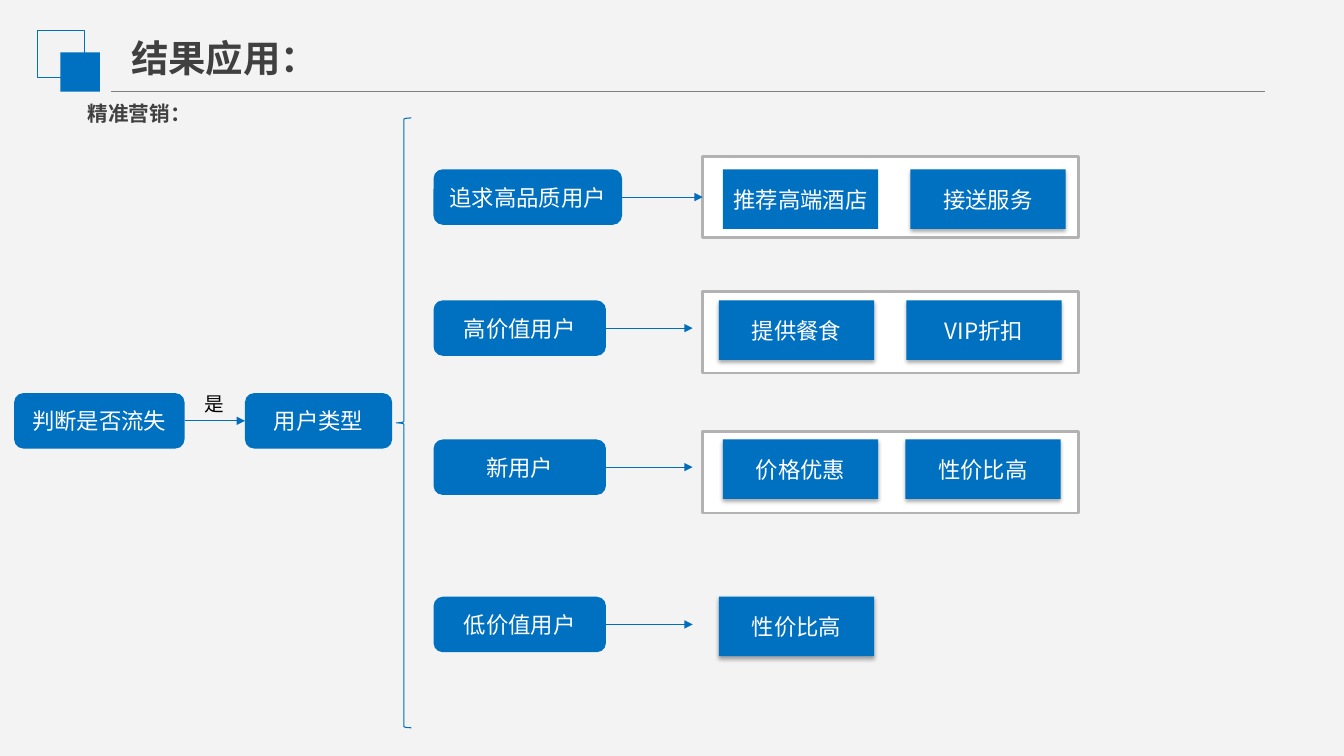
from lxml import etree
from pptx import Presentation
from pptx.dml.color import RGBColor
from pptx.enum.shapes import MSO_CONNECTOR, MSO_SHAPE
from pptx.enum.text import MSO_ANCHOR, MSO_AUTO_SIZE, PP_ALIGN
from pptx.oxml.ns import qn
from pptx.util import Pt

RECTANGLE = MSO_SHAPE.RECTANGLE
ROUNDED = MSO_SHAPE.ROUNDED_RECTANGLE
LEFT_BRACE = MSO_SHAPE.LEFT_BRACE
STRAIGHT = MSO_CONNECTOR.STRAIGHT
TOP, MIDDLE = MSO_ANCHOR.TOP, MSO_ANCHOR.MIDDLE
LEFT, CENTER = PP_ALIGN.LEFT, PP_ALIGN.CENTER
LEFT_SIDE, RIGHT_SIDE = 1, 3

EMU_PER_PX = 9144  # 100 px to the inch
FONT = "Noto Sans CJK SC"
TITLE_ONLY_LAYOUT = 5
COLORS = {
    "background": "F3F3F3",
    "blue": "0070C0",
    "arrow": "006EBC",
    "rule": "808080",
    "frame": "B2B2B2",
    "heading": "404040",
    "white": "FFFFFF",
    "black": "000000",
}

NODE_HEIGHT = 55
CARD_WIDTH, CARD_HEIGHT = 154, 59
FRAME_LEFT, FRAME_WIDTH, FRAME_HEIGHT = 697, 373, 81
ROW_LEFT, ARROW_END = 430, 687

# top, node width, node text, frame top (or None), cards: left, text, raised
USER_ROWS = [
    (168, 187, "追求高品质用户", 155,
     [(717, "推荐高端酒店", False), (903, "接送服务", True)]),
    (298, 171, "高价值用户", 289,
     [(713, "提供餐食", True), (899, "VIP折扣", True)]),
    (436, 171, "新用户", 428,
     [(717, "价格优惠", True), (898, "性价比高", True)]),
    (592, 171, "低价值用户", None, [(713, "性价比高", True)]),
]


def px(*lengths):
    return [round(length * EMU_PER_PX) for length in lengths]


def rgb(name):
    return RGBColor.from_string(COLORS[name])


def write(shape, text, size, color, align=LEFT, anchor=TOP, bold=False, wrap=True):
    frame = shape.text_frame
    frame.auto_size = MSO_AUTO_SIZE.NONE
    frame.word_wrap = wrap
    frame.vertical_anchor = anchor
    paragraph = frame.paragraphs[0]
    paragraph.alignment = align
    run = paragraph.add_run()
    run.text = text
    font = run.font
    font.name, font.size, font.bold = FONT, Pt(size), bold
    font.color.rgb = rgb(color)
    properties = run._r.get_or_add_rPr()
    etree.SubElement(properties, qn("a:ea"), typeface=FONT)


def add_block(slide, kind, box, fill=None, line=None, line_width=1):
    shape = slide.shapes.add_shape(kind, *px(*box))
    shape.shadow.inherit = False
    if fill:
        shape.fill.solid()
        shape.fill.fore_color.rgb = rgb(fill)
    else:
        shape.fill.background()
    if line:
        shape.line.color.rgb = rgb(line)
        shape.line.width = Pt(line_width)
    else:
        shape.line.fill.background()
    return shape


def add_label(slide, box, text, size, color, **style):
    label = slide.shapes.add_textbox(*px(*box))
    write(label, text, size, color, **style)


def add_node(slide, box, text, kind=ROUNDED):
    node = add_block(slide, kind, box, fill="blue")
    node.text_frame.margin_left = node.text_frame.margin_right = 0
    write(node, text, 16, "white", CENTER, MIDDLE)
    return node


def add_card(slide, left, top, text, raised):
    """Add a blue square-cornered card; a raised one casts a soft shadow."""
    card = add_node(slide, (left, top, CARD_WIDTH, CARD_HEIGHT), text, RECTANGLE)
    if raised:
        effects = card._element.spPr.find(qn("a:effectLst"))
        shadow = etree.SubElement(
            effects, qn("a:outerShdw"), blurRad=str(Pt(3.1)), dist=str(Pt(1.8)),
            dir="5400000", rotWithShape="0")
        color = etree.SubElement(shadow, qn("a:srgbClr"), val=COLORS["black"])
        etree.SubElement(color, qn("a:alpha"), val="35000")


def add_line(slide, start, end, color):
    line = slide.shapes.add_connector(STRAIGHT, *px(*start, *end))
    line.line.color.rgb = rgb(color)
    line.line.width = Pt(0.75)
    etree.SubElement(line._element.spPr, qn("a:effectLst"))
    return line


def add_arrow(slide, source, end, target=None):
    arrow = add_line(slide, end, end, "arrow")
    arrow.begin_connect(source, RIGHT_SIDE)
    if target is not None:
        arrow.end_connect(target, LEFT_SIDE)
    etree.SubElement(arrow.line._get_or_add_ln(), qn("a:tailEnd"), type="triangle")


def add_header(slide, left, top, width):
    add_line(slide, (left + 73, top + 61), (left + width, top + 61), "rule")
    add_block(slide, RECTANGLE, (left, top, 47, 47), line="blue")
    add_block(slide, RECTANGLE, (left + 23, top + 22, 39, 39), fill="blue")
    title = slide.shapes.title
    title.left, title.top, title.width, title.height = px(left + 83, top, 207, 100)
    write(title, "结果应用：", 26.7, "heading", bold=True, wrap=False)
    add_label(slide, (left + 40, top + 65, 311, 35), "精准营销：", 14.7,
              "heading", bold=True)


def add_decision(slide, left, top):
    """Add the churn check, the user type it leads to and the brace."""
    check = add_node(slide, (left, top, 169, NODE_HEIGHT), "判断是否流失")
    user_type = add_node(slide, (left + 229, top, 146, NODE_HEIGHT), "用户类型")
    add_arrow(slide, check, (left + 229, top + NODE_HEIGHT / 2), user_type)
    add_label(slide, (left + 179, top - 6, 40, 34), "是", 14, "black", wrap=False)
    add_block(slide, LEFT_BRACE, (left + 379, top - 273, 15, 605),
              line="arrow", line_width=0.75)


def add_user_row(slide, top, width, text, frame_top, cards):
    frame = None
    if frame_top is not None:
        frame = add_block(slide, RECTANGLE,
                          (FRAME_LEFT, frame_top, FRAME_WIDTH, FRAME_HEIGHT),
                          fill="white", line="frame", line_width=2)
    node = add_node(slide, (ROW_LEFT, top, width, NODE_HEIGHT), text)
    middle = top + NODE_HEIGHT / 2
    centred = frame_top is not None and frame_top + FRAME_HEIGHT / 2 == middle
    add_arrow(slide, node, (ARROW_END, middle), frame if centred else None)
    for left, card_text, raised in cards:
        add_card(slide, left, top, card_text, raised)


def main():
    presentation = Presentation()
    presentation.slide_width, presentation.slide_height = px(1333, 750)
    layout = presentation.slide_layouts[TITLE_ONLY_LAYOUT]
    slide = presentation.slides.add_slide(layout)
    slide.background.fill.solid()
    slide.background.fill.fore_color.rgb = rgb("background")
    add_header(slide, 37, 30, 1218)
    add_decision(slide, 14, 390)
    for row in USER_ROWS:
        add_user_row(slide, *row)
    presentation.save("out.pptx")


if __name__ == "__main__":
    main()
